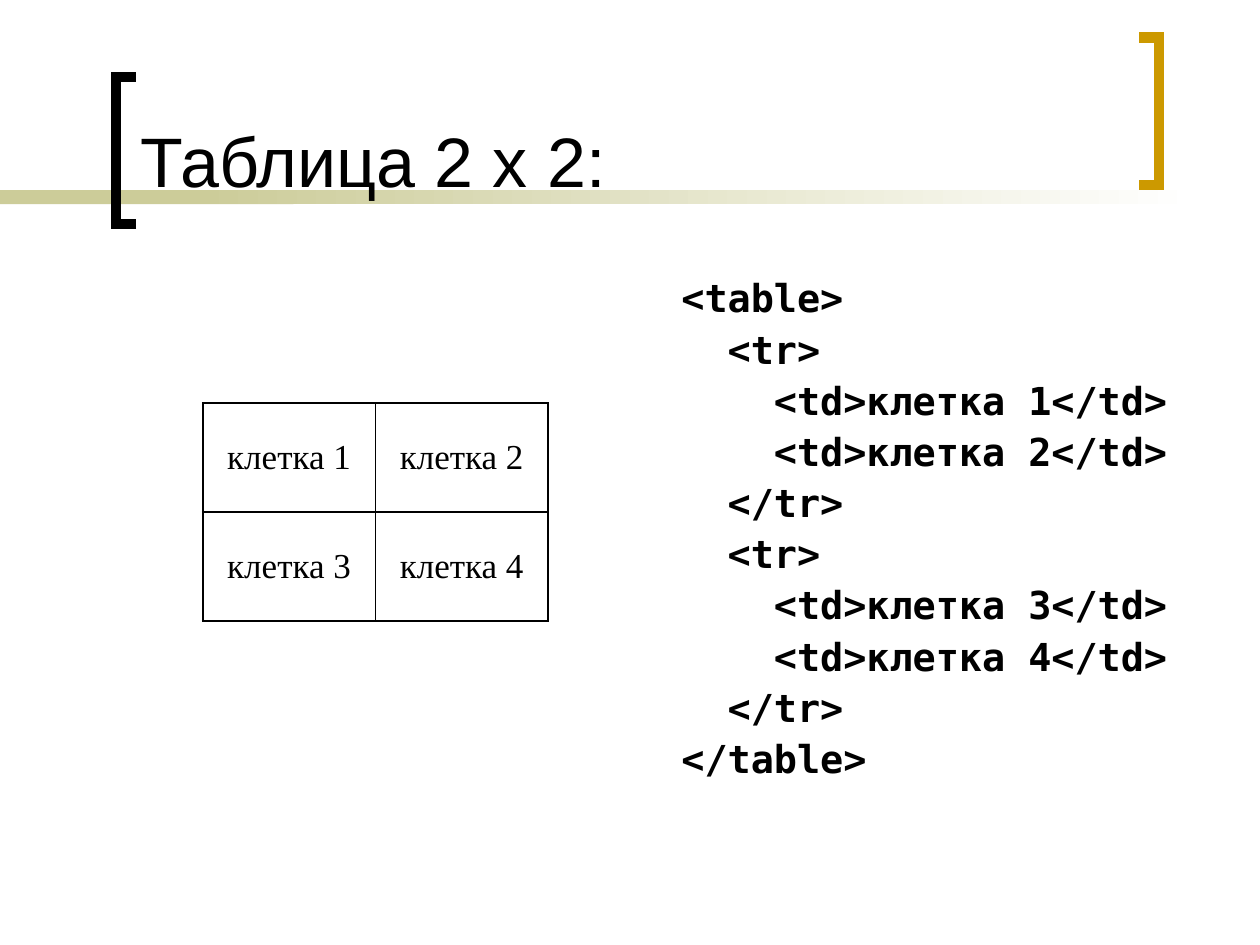
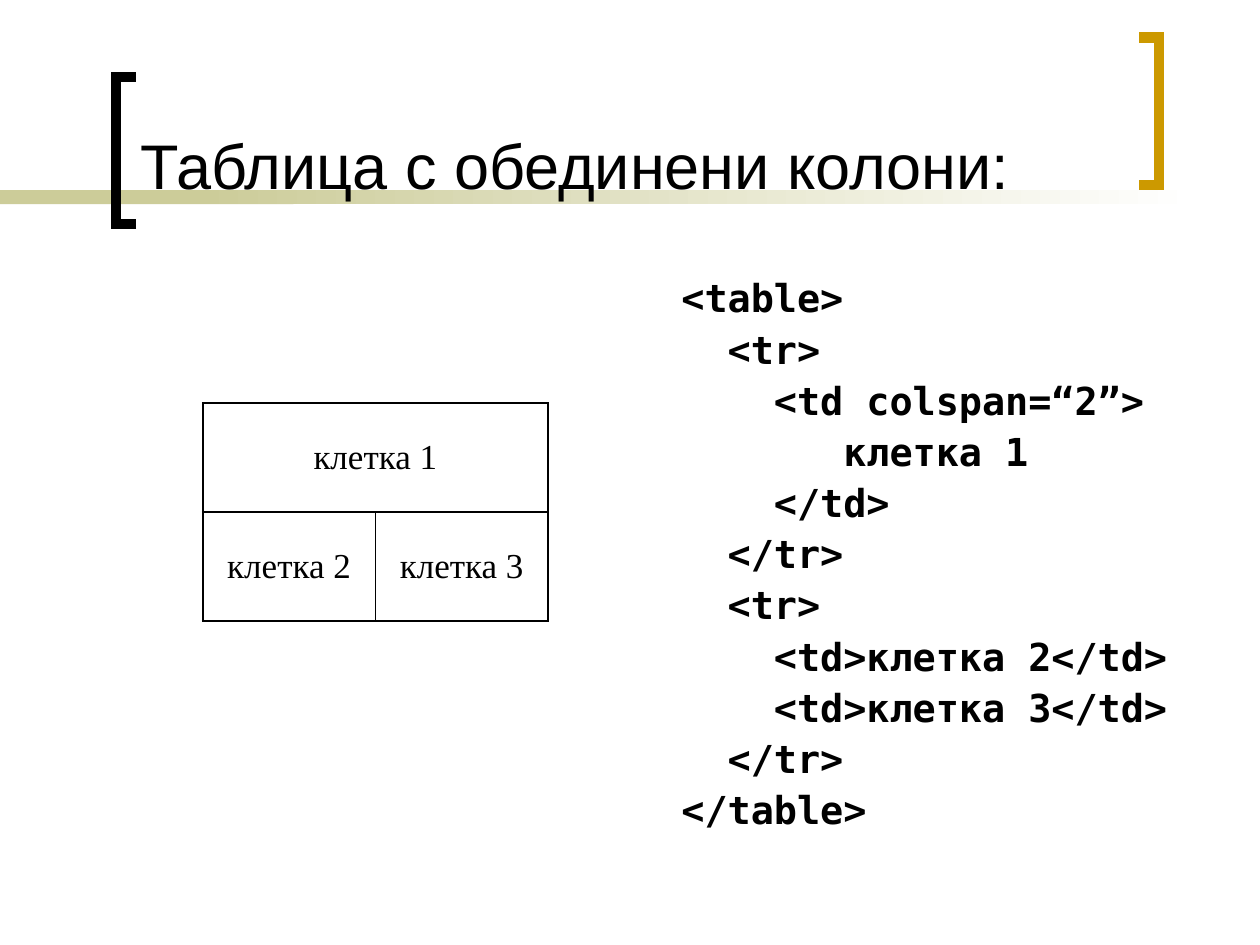
"""Builds two slides that pair an HTML table with its source code."""
from lxml import etree
from pptx import Presentation
from pptx.dml.color import RGBColor
from pptx.enum.shapes import MSO_SHAPE as Shape
from pptx.enum.text import MSO_ANCHOR as Anchor, PP_ALIGN as Align
from pptx.oxml.ns import qn
from pptx.util import Inches, Pt

BLACK, GOLD, OLIVE, WHITE = "000000", "CC9900", "CCCC99", "FFFFFF"
TITLE_FONT, CODE_FONT, CELL_FONT = "Arial", "DejaVu Sans Mono", "Times New Roman"
OUTER_BORDER, INNER_BORDER = 1.08, 0.45
BRACKETS = [
    (BLACK, [(1.08, 1.78), (0.92, 1.78), (0.92, 0.61), (1.08, 0.61)]),
    (GOLD, [(9.04, 0.3), (9.2, 0.3), (9.2, 1.47), (9.04, 1.47)]),
]

SLIDES = [
    {
        "title": "Таблица 2 х 2:",
        "title_size": 40,
        "rows": [["клетка 1", "клетка 2"], ["клетка 3", "клетка 4"]],
        "code": """<table>
  <tr>
    <td>клетка 1</td>
    <td>клетка 2</td>
  </tr>
  <tr>
    <td>клетка 3</td>
    <td>клетка 4</td>
  </tr>
</table>""",
    },
    {
        "title": "Таблица с обединени колони:",
        "title_size": 36,
        "rows": [["клетка 1"], ["клетка 2", "клетка 3"]],
        "code": """<table>
  <tr>
    <td colspan=“2”>
       клетка 1
    </td>
  </tr>
  <tr>
    <td>клетка 2</td>
    <td>клетка 3</td>
  </tr>
</table>""",
    },
]


def color(hex_string):
    return RGBColor.from_string(hex_string)


def style_runs(paragraph, font_name, size, bold=False):
    for run in paragraph.runs:
        run.font.name = font_name
        run.font.size = Pt(size)
        run.font.bold = bold
        run.font.color.rgb = color(BLACK)


def add_band(slide, left, width):
    band = slide.shapes.add_shape(
        Shape.RECTANGLE, Inches(left), Inches(1.51), Inches(width), Inches(0.11))
    band.shadow.inherit = False
    band.line.fill.background()
    return band.fill


def add_bracket(slide, line_color, points):
    corners = [(Inches(x), Inches(y)) for x, y in points]
    builder = slide.shapes.build_freeform(*corners[0])
    builder.add_line_segments(corners[1:], close=False)
    bracket = builder.convert_to_shape()
    bracket.shadow.inherit = False
    bracket.fill.background()
    bracket.line.color.rgb = color(line_color)
    bracket.line.width = Pt(6)
    outline = bracket.line.fill._xPr
    etree.SubElement(outline, qn("a:miter"), lim="800000")


def add_frame(slide):
    solid = add_band(slide, 0, 2.33)
    solid.solid()
    solid.fore_color.rgb = color(OLIVE)
    fading = add_band(slide, 1.58, 7.92)
    fading.gradient()
    fading.gradient_angle = 180
    for stop, stop_color in zip(fading.gradient_stops, (WHITE, OLIVE)):
        stop.color.rgb = color(stop_color)
    for line_color, points in BRACKETS:
        add_bracket(slide, line_color, points)


def add_text_box(slide, left, top, width, height, text, anchor):
    box = slide.shapes.add_textbox(
        Inches(left), Inches(top), Inches(width), Inches(height))
    frame = box.text_frame
    frame.word_wrap = True
    frame.vertical_anchor = anchor
    frame.text = text
    return frame.paragraphs


def add_title(slide, text, size):
    for paragraph in add_text_box(slide, 1.02, 0.11, 7.83, 1.54, text, Anchor.BOTTOM):
        style_runs(paragraph, TITLE_FONT, size)


def add_code(slide, code):
    paragraphs = add_text_box(slide, 5.31, 2.17, 4.42, 4.5, code, Anchor.TOP)
    for index, paragraph in enumerate(paragraphs):
        properties = paragraph._p.get_or_add_pPr()
        properties.set("marL", str(Inches(0.39)))
        properties.set("indent", str(-Inches(0.39)))
        paragraph.line_spacing = 0.9
        paragraph.space_before = Pt(5.5 if index else 0)
        style_runs(paragraph, CODE_FONT, 22, bold=True)


def set_borders(cell, **widths):
    properties = cell._tc.get_or_add_tcPr()
    for side, width in widths.items():
        border = etree.SubElement(properties, qn("a:ln" + side), w=str(Pt(width)))
        fill = etree.SubElement(border, qn("a:solidFill"))
        etree.SubElement(fill, qn("a:srgbClr"), val=BLACK)


def add_cells(slide, rows):
    columns = max(len(row) for row in rows)
    table = slide.shapes.add_table(
        len(rows), columns, Inches(1.61), Inches(3.2),
        Inches(1.37 * columns), Inches(0.865 * len(rows))).table
    table.first_row = table.horz_banding = False
    for row_index, row in enumerate(rows):
        merged = len(row) < columns
        if merged:
            table.cell(row_index, 0).merge(table.cell(row_index, columns - 1))
        for column in range(columns):
            cell = table.cell(row_index, column)
            left = OUTER_BORDER if merged or column == 0 else INNER_BORDER
            right = OUTER_BORDER if merged or column == columns - 1 else INNER_BORDER
            set_borders(cell, L=left, R=right, T=OUTER_BORDER, B=OUTER_BORDER)
            cell.fill.background()
            if column < len(row):
                cell.text_frame.text = row[column]
                cell.vertical_anchor = Anchor.MIDDLE
                paragraph = cell.text_frame.paragraphs[0]
                paragraph.alignment = Align.CENTER
                style_runs(paragraph, CELL_FONT, 20)


def main():
    presentation = Presentation()
    presentation.slide_width, presentation.slide_height = Inches(10), Inches(7.5)
    for content in SLIDES:
        slide = presentation.slides.add_slide(presentation.slide_layouts[6])
        add_frame(slide)
        add_title(slide, content["title"], content["title_size"])
        add_code(slide, content["code"])
        add_cells(slide, content["rows"])
    presentation.save("out.pptx")


if __name__ == "__main__":
    main()
